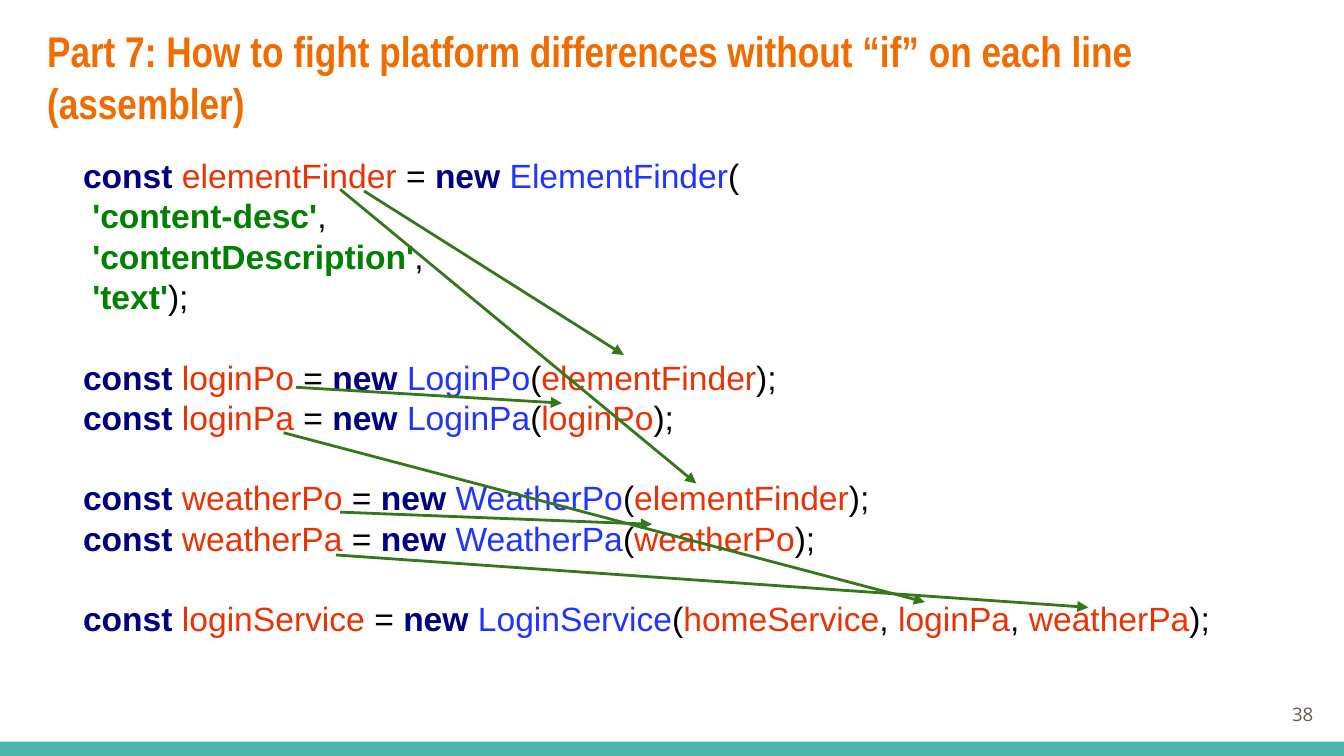
from lxml.etree import SubElement
from pptx import Presentation
from pptx.dml.color import RGBColor
from pptx.enum.shapes import MSO_CONNECTOR as Connector, MSO_SHAPE as Shape
from pptx.enum.text import MSO_ANCHOR as Anchor, PP_ALIGN as Align
from pptx.oxml.ns import qn
from pptx.util import Cm, Pt

ORANGE, TEAL, BROWN, ARROW_GREEN = "EF6C00", "4DB6AC", "695D46", "38761D"
KEYWORD, VARIABLE, CLASS, STRING, PLAIN = "000080", "E73305", "2234FF", "008000", "000000"
LINE_PITCH = 21.6

FINDER_OPTIONS = ["content-desc", "contentDescription", "text"]
# Variable, arguments, first of a group
DECLARATIONS = [
    ("loginPo", ["elementFinder"], True),
    ("loginPa", ["loginPo"], False),
    ("weatherPo", ["elementFinder"], True),
    ("weatherPa", ["weatherPo"], False),
    ("loginService", ["homeService", "loginPa", "weatherPa"], True),
]
# Start x, start y, end x, end y in centimetres
ARROWS = [
    (6.88, 3.61, 11.79, 6.71),
    (5.59, 7.32, 10.62, 7.62),
    (6.43, 3.58, 13.16, 9.14),
    (6.43, 9.68, 12.32, 9.91),
    (5.36, 8.18, 17.48, 11.38),
    (6.35, 10.49, 20.57, 11.48),
]


def color(hex_string):
    return RGBColor.from_string(hex_string)


def add_run(paragraph, text, size, font, hex_color, bold=False):
    run = paragraph.add_run()
    run.text = text
    run.font.size = Pt(size)
    run.font.name = font
    run.font.bold = bold
    run.font.color.rgb = color(hex_color)


def set_frame(shape, anchor):
    frame = shape.text_frame
    frame.word_wrap = True
    frame.vertical_anchor = anchor
    frame.margin_left = frame.margin_right = Cm(0.25)
    frame.margin_top = frame.margin_bottom = Cm(0.25)
    return frame


def add_bottom_bar(slide):
    bar = slide.shapes.add_shape(Shape.RECTANGLE, Cm(0), Cm(14.02), Cm(25.4), Cm(0.27))
    bar.shadow.inherit = False
    bar.fill.solid()
    bar.fill.fore_color.rgb = color(TEAL)
    bar.line.fill.background()


def set_title(slide, text):
    title = slide.shapes.title
    title.left, title.top, title.width, title.height = Cm(0.64), Cm(0.2), Cm(24.76), Cm(1.45)
    paragraph = set_frame(title, Anchor.TOP).paragraphs[0]
    paragraph.alignment = Align.LEFT
    paragraph.line_spacing = Pt(28)
    add_run(paragraph, text, 23, "Arial Narrow", ORANGE, True)


def add_page_number(slide, number):
    box = slide.shapes.add_textbox(Cm(23.55), Cm(12.95), Cm(1.52), Cm(1.09))
    paragraph = set_frame(box, Anchor.MIDDLE).paragraphs[0]
    paragraph.alignment = Align.RIGHT
    add_run(paragraph, number, 10, "Open Sans", BROWN)


def opening_tokens(variable):
    """Coloured pieces of a declaration up to its opening bracket."""
    class_name = variable[0].upper() + variable[1:]
    return [("const ", KEYWORD), (variable + " ", VARIABLE), ("= ", PLAIN),
            ("new ", KEYWORD), (class_name, CLASS), ("(", PLAIN)]


def argument_tokens(arguments):
    tokens = []
    for argument in arguments:
        ending = ");" if argument == arguments[-1] else ", "
        tokens += [(argument, VARIABLE), (ending, PLAIN)]
    return tokens


def code_lines():
    """Pairs of tokens and whether a gap comes before the line."""
    lines = [(opening_tokens("elementFinder"), False)]
    for option in FINDER_OPTIONS:
        ending = ");" if option == FINDER_OPTIONS[-1] else ","
        lines.append(([(" ", PLAIN), (f"'{option}'", STRING), (ending, PLAIN)], False))
    for variable, arguments, starts_group in DECLARATIONS:
        lines.append((opening_tokens(variable) + argument_tokens(arguments), starts_group))
    return lines


def add_code(slide):
    box = slide.shapes.add_textbox(Cm(1.32), Cm(2.57), Cm(23.09), Cm(9.86))
    frame = set_frame(box, Anchor.MIDDLE)
    for index, (tokens, gap_before) in enumerate(code_lines()):
        paragraph = frame.add_paragraph() if index else frame.paragraphs[0]
        paragraph.line_spacing = Pt(LINE_PITCH)
        if gap_before:
            paragraph.space_before = Pt(LINE_PITCH)
        for text, hex_color in tokens:
            add_run(paragraph, text, 18, "Arial", hex_color, hex_color in (KEYWORD, STRING))


def add_arrow(slide, *ends):
    arrow = slide.shapes.add_connector(Connector.STRAIGHT, *map(Cm, ends))
    arrow.line.color.rgb = color(ARROW_GREEN)
    arrow.line.width = Pt(1.5)
    SubElement(arrow.line._get_or_add_ln(), qn("a:tailEnd"), type="triangle")
    SubElement(arrow._element.spPr, qn("a:effectLst"))


def main():
    presentation = Presentation()
    presentation.slide_width, presentation.slide_height = Cm(25.4), Cm(14.29)
    slide = presentation.slides.add_slide(presentation.slide_layouts[5])
    add_bottom_bar(slide)
    set_title(slide, "Part 7: How to fight platform differences without “if” on each line (assembler)")
    add_page_number(slide, "38")
    add_code(slide)
    for ends in ARROWS:
        add_arrow(slide, *ends)
    presentation.save("out.pptx")


if __name__ == "__main__":
    main()
